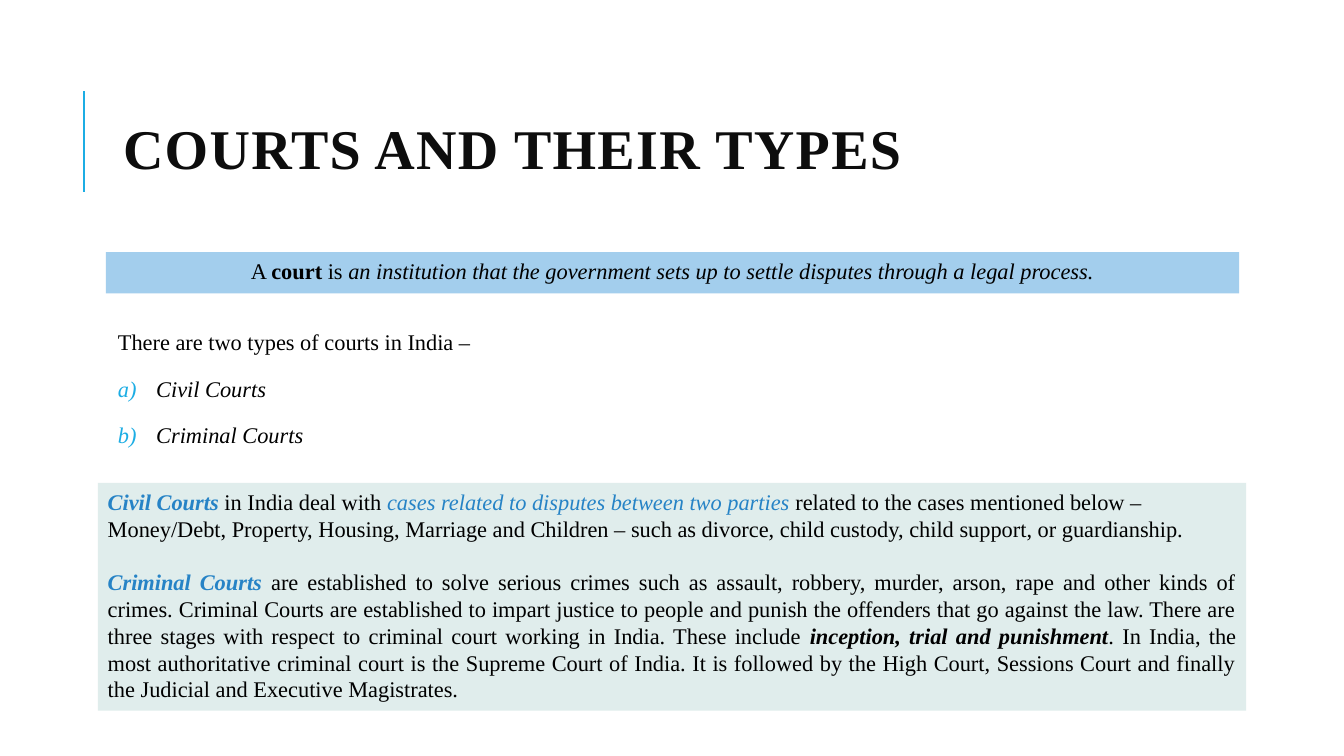
from dataclasses import dataclass

from lxml.etree import SubElement
from pptx import Presentation
from pptx.dml.color import RGBColor as Rgb
from pptx.enum.shapes import MSO_CONNECTOR as Connector, MSO_SHAPE as Shape
from pptx.enum.text import MSO_ANCHOR as Anchor, MSO_AUTO_SIZE as AutoSize, PP_ALIGN as Align
from pptx.oxml.ns import qn
from pptx.util import Inches, Pt


@dataclass(frozen=True)
class Theme:
    font: str = "Times New Roman"
    title_size: int = 40
    body_size: int = 16
    title: str = "0D0D0D"
    text: str = "000000"
    accent: str = "1CADE4"
    term: str = "2683C6"
    banner: str = "A3CEED"
    panel: str = "E0EDEC"


theme = Theme()


def prepare(shape, box, anchor, inset=None, fill=None):
    """Place a shape, style its surface and return its text frame."""
    shape.left, shape.top, shape.width, shape.height = (Inches(n) for n in box)
    if fill:
        shape.shadow.inherit = False
        shape.fill.solid()
        shape.fill.fore_color.rgb = Rgb.from_string(fill)
        shape.line.fill.background()
    frame = shape.text_frame
    frame.word_wrap = True
    frame.vertical_anchor = anchor
    if inset is not None:
        frame.margin_left = frame.margin_right = Inches(inset)
        frame.margin_top = frame.margin_bottom = Inches(inset)
    return frame


def write(paragraph, pieces, align, size=theme.body_size, color=theme.text):
    """Fill a paragraph from (text, marks): b bold, i italic, t term colour."""
    paragraph.alignment = align
    paragraph.font.name = theme.font
    paragraph.font.size = Pt(size)
    paragraph.font.color.rgb = Rgb.from_string(color)
    for text, marks in pieces:
        run = paragraph.add_run()
        run.text = text
        run.font.bold = "b" in marks
        run.font.italic = "i" in marks
        if "t" in marks:
            run.font.color.rgb = Rgb.from_string(theme.term)


deck = Presentation()
deck.slide_width, deck.slide_height = Inches(13.33), Inches(7.5)
slide = deck.slides.add_slide(deck.slide_layouts[5])
shapes = slide.shapes

# Title with its accent rule
rule = shapes.add_connector(Connector.STRAIGHT, Inches(0.83), Inches(1.9), Inches(0.83), Inches(0.9))
rule.line.color.rgb = Rgb.from_string(theme.accent)
rule.line.width = Pt(1.5)
SubElement(rule.element.spPr, qn("a:effectLst"))

heading = prepare(shapes.title, (1.12, 0.64, 10.63, 1.64), Anchor.MIDDLE)
heading.auto_size = AutoSize.NONE
write(heading.paragraphs[0], [("COURTS AND THEIR TYPES", "b")], Align.LEFT,
      theme.title_size, theme.title)
heading.paragraphs[0].runs[0].font._element.set("spc", "100")

# Definition
definition = prepare(shapes.add_shape(Shape.RECTANGLE, 0, 0, 0, 0),
                     (1.05, 2.5, 11.24, 0.41), Anchor.MIDDLE, 0.05, theme.banner)
write(definition.paragraphs[0], [
    ("A ", ""), ("court", "b"), (" is ", ""),
    ("an institution that the government sets up to settle disputes through a legal process.", "i"),
], Align.CENTER)
definition.paragraphs[0].line_spacing = 0.9

# Types of courts
types = prepare(shapes.add_textbox(0, 0, 0, 0), (1.12, 3.13, 10.63, 1.44), Anchor.MIDDLE, 0.05)
intro = types.paragraphs[0]
write(intro, [("There are two types of courts in India –", "")], Align.JUSTIFY)
intro.space_after = Pt(2)
for court in ("Civil Courts", "Criminal Courts"):
    entry = types.add_paragraph()
    props = entry._p.get_or_add_pPr()
    props.set("marL", str(Inches(0.38)))
    props.set("indent", str(-Inches(0.38)))
    SubElement(SubElement(props, qn("a:buClr")), qn("a:srgbClr"), val=theme.accent)
    SubElement(props, qn("a:buAutoNum"), type="alphaLcParenR")
    write(entry, [(court, "i")], Align.JUSTIFY)
    entry.space_before, entry.space_after = Pt(12), Pt(2)

# What each type does
details = prepare(shapes.add_shape(Shape.RECTANGLE, 0, 0, 0, 0),
                  (0.97, 4.79, 11.39, 2.26), Anchor.TOP, fill=theme.panel)
details.auto_size = AutoSize.SHAPE_TO_FIT_TEXT
civil, matters, criminal = details.paragraphs[0], details.add_paragraph(), details.add_paragraph()
write(civil, [
    ("Civil Courts ", "bit"), ("in India deal with ", ""),
    ("cases related to disputes between two parties", "it"),
    (" related to the cases mentioned below –", ""),
], Align.JUSTIFY)
write(matters, [
    ("Money/Debt, Property, Housing, Marriage and Children – such as divorce, child custody, "
     "child support, or guardianship.", ""),
], Align.JUSTIFY)
write(criminal, [
    ("Criminal Courts ", "bit"),
    ("are established to solve serious crimes such as assault, robbery, murder, arson, rape and "
     "other kinds of crimes. Criminal Courts are established to impart justice to people and "
     "punish the offenders that go against the law. There are three stages with respect to "
     "criminal court working in India. These include ", ""),
    ("inception, trial and punishment", "bi"),
    (". In India, the most authoritative criminal court is the Supreme Court of India. It is "
     "followed by the High Court, Sessions Court and finally the Judicial and Executive "
     "Magistrates.", ""),
], Align.JUSTIFY)
criminal.space_before = Pt(19)

deck.save("out.pptx")
